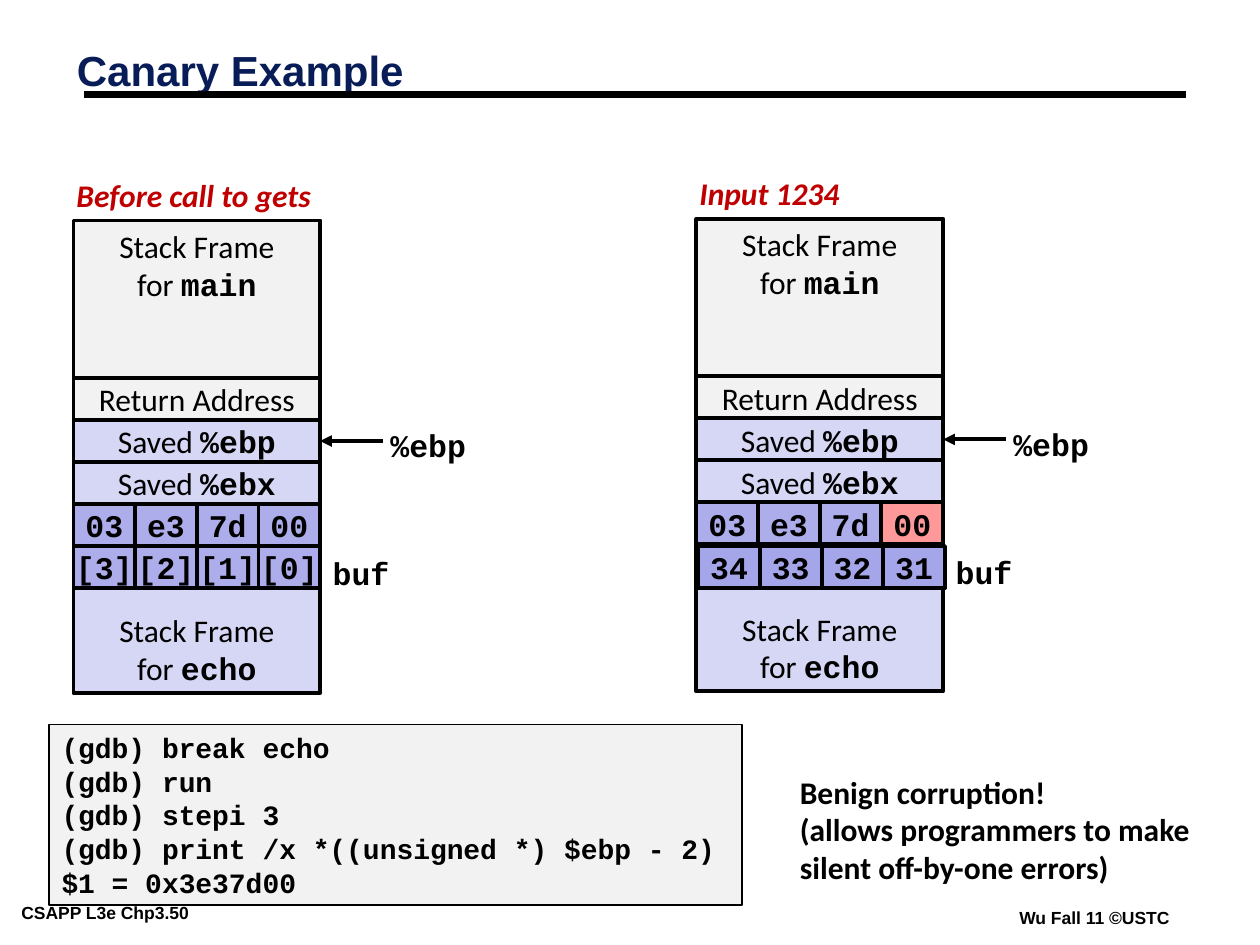
import pptx
import pptx.dml.color
import pptx.enum.shapes
import pptx.enum.text
import pptx.oxml.ns
import pptx.util
from lxml import etree

RGBColor = pptx.dml.color.RGBColor
ALIGN = pptx.enum.text.PP_ALIGN
ANCHOR = pptx.enum.text.MSO_ANCHOR
AUTO = pptx.enum.text.MSO_AUTO_SIZE

BLACK = RGBColor(0x00, 0x00, 0x00)
NAVY = RGBColor(0x08, 0x1D, 0x58)
RED = RGBColor(0xC0, 0x00, 0x00)
GREY = RGBColor(0xF2, 0xF2, 0xF2)
PALE = RGBColor(0xD6, 0xD6, 0xF5)
LILAC = RGBColor(0xAD, 0xAD, 0xEB)
VIOLET = RGBColor(0xA5, 0xA5, 0xE9)
PINK = RGBColor(0xFF, 0x99, 0x99)

SANS, BODY, MONO = "Arial", "Calibri", "Courier New"
COLS, ROWS = 120, 90
STACK_W, ROW_H = 23.5, 4
CELL_W = STACK_W / 4


class Deck:
    def __init__(self):
        self.prs = pptx.Presentation()
        self.prs.slide_width = pptx.util.Inches(10)
        self.prs.slide_height = pptx.util.Inches(7.5)
        self.s = self.prs.slides.add_slide(self.prs.slide_layouts[5])

    def x(self, col):
        return round(self.prs.slide_width * col / COLS)

    def y(self, row):
        return round(self.prs.slide_height * row / ROWS)

    def area(self, col, row, cols, rows):
        return self.x(col), self.y(row), self.x(cols), self.y(rows)

    def set_text(self, tf, lines, size=18, font=BODY, color=BLACK, bold=False,
                 italic=False, align=ALIGN.LEFT):
        for i, line in enumerate(lines):
            p = tf.add_paragraph() if i else tf.paragraphs[0]
            p.alignment = align
            p.font.size = pptx.util.Pt(size)
            p.font.name = font
            p.font.bold = bold
            p.font.italic = italic
            p.font.color.rgb = color
            plain, code = (line, "") if isinstance(line, str) else line
            p.add_run().text = plain
            if code:
                r = p.add_run()
                r.text = code
                r.font.name = MONO
                r.font.bold = True

    def title(self, text, col, row, cols, rows):
        sp = self.s.shapes.title
        sp.left, sp.top, sp.width, sp.height = self.area(col, row, cols, rows)
        tf = sp.text_frame
        tf.vertical_anchor = ANCHOR.MIDDLE
        tf.auto_size = AUTO.NONE
        self.set_text(tf, [text], 24, SANS, NAVY, bold=True)
        tf.paragraphs[0].line_spacing = 0.87

    def box(self, lines, col, row, cols, rows, fill, anchor=ANCHOR.MIDDLE,
            line=2.25, wrap=False, align=ALIGN.CENTER, **style):
        sp = self.s.shapes.add_shape(pptx.enum.shapes.MSO_SHAPE.RECTANGLE,
                                     *self.area(col, row, cols, rows))
        sp.shadow.inherit = False
        sp.fill.solid()
        sp.fill.fore_color.rgb = fill
        sp.line.color.rgb = BLACK
        sp.line.width = pptx.util.Pt(line)
        sp.text_frame.word_wrap = wrap
        sp.text_frame.vertical_anchor = anchor
        self.set_text(sp.text_frame, lines, align=align, **style)
        return sp

    def cells(self, texts, col, row, fills):
        for i, (text, fill) in enumerate(zip(texts, fills)):
            self.box([text], col + i * CELL_W, row, CELL_W, ROW_H, fill,
                     font=MONO, bold=True)

    def label(self, lines, col, row, cols, rows, wrap=False, **style):
        sp = self.s.shapes.add_textbox(*self.area(col, row, cols, rows))
        tf = sp.text_frame
        tf.word_wrap = wrap
        tf.auto_size = AUTO.SHAPE_TO_FIT_TEXT
        self.set_text(tf, lines, bold=True, **style)
        return tf

    def footer(self, text, col, row, cols):
        tf = self.label([text], col, row, cols, 2.64, size=10, font=SANS)
        tf.margin_left = tf.margin_right = pptx.util.Inches(0.07)
        tf.margin_top = tf.margin_bottom = pptx.util.Inches(0.03)

    def line(self, col1, row1, col2, row2, width):
        c = self.s.shapes.add_connector(
            pptx.enum.shapes.MSO_CONNECTOR.STRAIGHT,
            self.x(col1), self.y(row1), self.x(col2), self.y(row2))
        c.line.color.rgb = BLACK
        c.line.width = pptx.util.Pt(width)
        etree.SubElement(c._element.spPr, pptx.oxml.ns.qn("a:effectLst"))
        return c

    def arrow_to(self, target, col1, row, col2):
        c = self.line(col1, row, col2, row, 2.25)
        c.end_connect(target, 3)
        ln = c._element.spPr.find(pptx.oxml.ns.qn("a:ln"))
        etree.SubElement(ln, pptx.oxml.ns.qn("a:tailEnd"), type="triangle")

    def stack(self, caption, caption_cols, col, row, canary_fills, buf,
              buf_at, buf_fill):
        right = col + STACK_W
        self.label([caption], col - 0.9, row - 4.85, caption_cols, 4.8,
                   color=RED, italic=True)
        self.box(["Stack Frame", ("for ", "main")], col, row, STACK_W, 15,
                 GREY, ANCHOR.TOP)
        self.box(["Return Address"], col, row + 15, STACK_W, ROW_H, GREY)
        ebp = self.box([("Saved ", "%ebp")], col, row + 19, STACK_W, ROW_H, PALE)
        self.arrow_to(ebp, right + 6, row + 21, right)
        self.label(["%ebp"], right + 5.5, row + 19, 9.6, 4.8, font=MONO)
        self.box(["Stack Frame", ("for ", "echo")], col, row + 23, STACK_W, 22,
                 PALE, ANCHOR.BOTTOM)
        self.box([("Saved ", "%ebx")], col, row + 23, STACK_W, ROW_H, PALE)
        self.cells(["03", "e3", "7d", "00"], col, row + 27, canary_fills)
        self.cells(buf, *buf_at, [buf_fill] * 4)
        self.label(["buf"], right, row + 31.2, 7.8, 4.8, font=MONO)


def main():
    d = Deck()
    d.footer("CSAPP L3e Chp3.50", 1.2, 85.56, 24.24)
    d.footer("Wu Fall 11 ©USTC", 96.24, 86.04, 16.56)
    d.line(8, 9, 113, 9, 4.5)
    d.title("Canary Example", 6.12, 4.32, 99.6, 5.4)
    d.box(["(gdb) break echo", "(gdb) run", "(gdb) stepi 3",
           "(gdb) print /x *((unsigned *) $ebp - 2)", "$1 = 0x3e37d00"],
          4.68, 69, 66, 17.2, GREY, ANCHOR.TOP, line=1, wrap=True,
          align=ALIGN.LEFT, size=16, font=MONO, bold=True)
    d.stack("Before call to gets", 24.84, 7, 21, [LILAC] * 4,
            ["[3]", "[2]", "[1]", "[0]"], (7, 52), LILAC)
    d.stack("Input 1234", 15.72, 66.33, 20.85, [LILAC] * 3 + [PINK],
            ["34", "33", "32", "31"], (66.5, 52), VIOLET)
    d.label(["Benign corruption!",
             "(allows programmers to make silent off-by-one errors)"],
            75, 73, 42, 12, wrap=True)
    d.prs.save("out.pptx")


if __name__ == "__main__":
    main()
